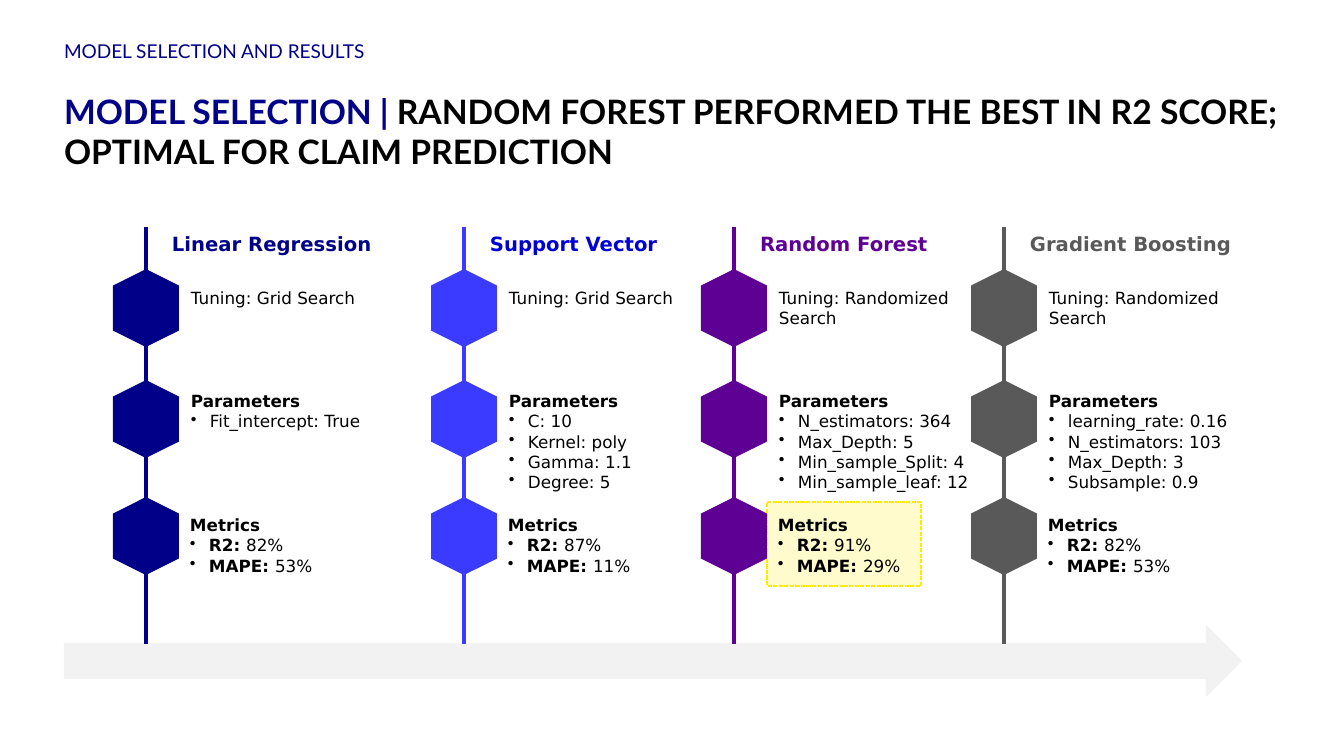
from pptx import Presentation
from pptx.dml.color import RGBColor
from pptx.enum.dml import MSO_LINE
from pptx.enum.shapes import MSO_CONNECTOR, MSO_SHAPE
from pptx.enum.text import MSO_AUTO_SIZE
from pptx.oxml.ns import qn
from pptx.util import Pt
from lxml import etree

STRAIGHT = MSO_CONNECTOR.STRAIGHT
HEXAGON, RECTANGLE, ARROW = MSO_SHAPE.HEXAGON, MSO_SHAPE.RECTANGLE, MSO_SHAPE.RIGHT_ARROW
DASHED = MSO_LINE.SQUARE_DOT
GROW, FIXED = MSO_AUTO_SIZE.SHAPE_TO_FIT_TEXT, MSO_AUTO_SIZE.NONE

EMU_PER_PX = 914400 / 100.8
TITLE_FONT, BODY_FONT = "Lato", "DejaVu Sans"
COLORS = {
    "navy": "000088", "blue": "3B3BFF", "royal": "0000D6", "purple": "5F0095",
    "gray": "595959", "black": "000000", "arrow": "F2F2F2",
    "highlight": "FFFBCC", "highlight_edge": "FFEA00",
}
COLUMN_TOP, COLUMN_HEIGHT = 227, 417
HEXAGON_CENTERS = (81, 192, 309)

# axis x, shape color, heading color, name, tuning, parameters, R2, MAPE, best
MODELS = [
    (146, "navy", "navy", "Linear Regression", "Grid Search",
     ["Fit_intercept: True"], "82%", "53%", False),
    (464, "blue", "royal", "Support Vector", "Grid Search",
     ["C: 10", "Kernel: poly", "Gamma: 1.1", "Degree: 5"], "87%", "11%", False),
    (734, "purple", "purple", "Random Forest", "Randomized Search",
     ["N_estimators: 364", "Max_Depth: 5", "Min_sample_Split: 4", "Min_sample_leaf: 12"],
     "91%", "29%", True),
    (1004, "gray", "gray", "Gradient Boosting", "Randomized Search",
     ["learning_rate: 0.16", "N_estimators: 103", "Max_Depth: 3", "Subsample: 0.9"],
     "82%", "53%", False),
]


def px(length):
    return round(length * EMU_PER_PX)


def rgb(name):
    return RGBColor.from_string(COLORS[name])


def add_block(page, kind, box, color):
    shape = page.shapes.add_shape(kind, *map(px, box))
    shape.shadow.inherit = False
    shape.fill.solid()
    shape.fill.fore_color.rgb = rgb(color)
    shape.line.fill.background()
    return shape


def add_text(page, box, top=0, bottom=5, auto_size=GROW):
    frame = page.shapes.add_textbox(*map(px, box)).text_frame
    frame.word_wrap = True
    frame.auto_size = auto_size
    frame.margin_left = frame.margin_right = 0
    frame.margin_top, frame.margin_bottom = px(top), px(bottom)
    return frame


def style(font, size, color="black", name=BODY_FONT, bold=None):
    font.size, font.name, font.bold = Pt(size), name, bold
    font.color.rgb = rgb(color)


def add_bullet(frame):
    para = frame.add_paragraph()
    properties = para._p.get_or_add_pPr()
    properties.set("marL", str(px(19)))
    properties.set("indent", str(px(-19)))
    etree.SubElement(properties, qn("a:buChar")).set("char", "•")
    style(para.font, 12)
    return para


def add_label(page, box, text, size=12, color="black", bold=None):
    frame = add_text(page, box)
    para = frame.paragraphs[0]
    para.text = text
    style(para.font, size, color, bold=bold)
    return frame


def add_header(page, left, top, width):
    # Title
    frame = add_text(page, (left, top + 42, width, 100), 5, 0, FIXED)
    para = frame.paragraphs[0]
    style(para.font, 24, name=TITLE_FONT, bold=True)
    lead = para.add_run()
    lead.text = "MODEL SELECTION | "
    lead.font.color.rgb = rgb("navy")
    message = para.add_run()
    message.text = "RANDOM FOREST PERFORMED THE BEST IN R2 SCORE; OPTIMAL FOR CLAIM PREDICTION"
    # Section name
    frame = add_text(page, (left, top, 630, 19), 5, 0, FIXED)
    para = frame.paragraphs[0]
    para.text = "MODEL SELECTION AND RESULTS"
    para.line_spacing = 0.5
    style(para.font, 13.6, "navy", TITLE_FONT)


def add_model(page, axis, top, height, model):
    color, heading_color, name, tuning, parameters, r2, mape, best = model

    # Highlight behind the best metrics
    if best:
        highlight = add_block(page, RECTANGLE, (axis + 33, top + 275, 154, 84), "highlight")
        highlight.line.color.rgb = rgb("highlight_edge")
        highlight.line.width = Pt(1)
        highlight.line.dash_style = DASHED

    # Axis and hexagons
    line = page.shapes.add_connector(
        STRAIGHT, px(axis), px(top), px(axis), px(top + height))
    etree.SubElement(line._element.spPr, qn("a:effectLst"))
    line.line.color.rgb = rgb(color)
    line.line.width = Pt(2.25)
    for center in HEXAGON_CENTERS:
        hexagon = add_block(page, HEXAGON, (axis - 39, top + center - 33, 78, 66), color)
        hexagon.rotation = 270

    # Heading and tuning
    add_label(page, (axis + 26, top + 5, 213, 29), name, 14, heading_color, True)
    add_label(page, (axis + 45, top + 61, 202, 25), f"Tuning: {tuning}")

    # Parameters
    box = (axis + 45, top + 164, 202, 25 + 20 * len(parameters))
    frame = add_label(page, box, "Parameters", bold=True)
    for parameter in parameters:
        add_bullet(frame).add_run().text = parameter

    # Metrics
    frame = add_label(page, (axis + 44, top + 288, 202, 66), "Metrics", bold=True)
    for metric, value in (("R2: ", r2), ("MAPE: ", mape)):
        para = add_bullet(frame)
        span = para.add_run()
        span.text = metric
        span.font.bold = True
        para.add_run().text = value


def main():
    deck = Presentation()
    deck.slide_width, deck.slide_height = px(1344), px(756)
    page = deck.slides.add_slide(deck.slide_layouts[6])
    add_header(page, 64, 44, 1239)
    add_block(page, ARROW, (64, 625, 1178, 72), "arrow")
    for axis, *model in MODELS:
        add_model(page, axis, COLUMN_TOP, COLUMN_HEIGHT, model)
    deck.save("out.pptx")


if __name__ == "__main__":
    main()
